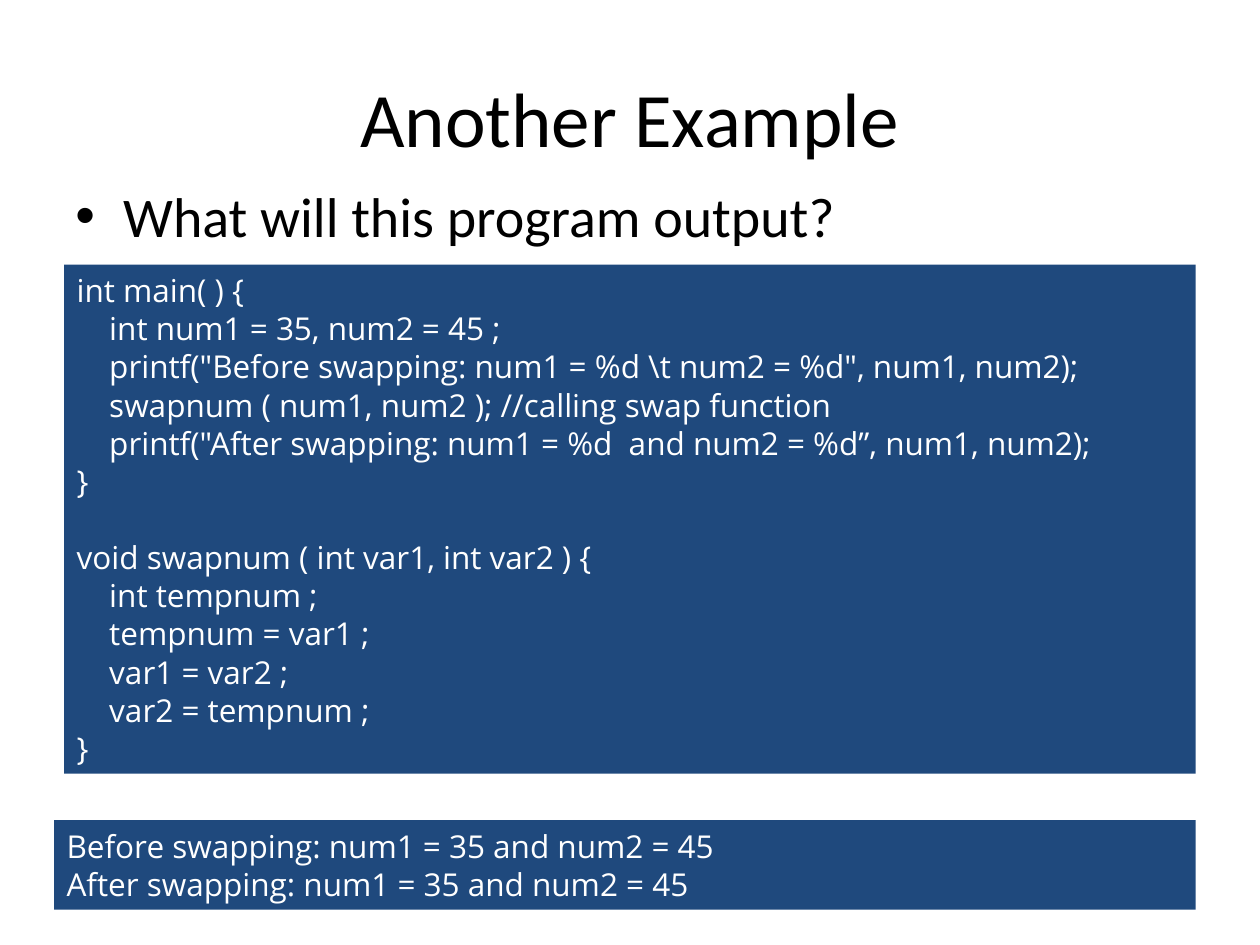
from pptx import Presentation
from pptx.dml.color import RGBColor
from pptx.enum.shapes import MSO_SHAPE as Shape
from pptx.enum.text import MSO_ANCHOR as Anchor, PP_ALIGN as Align
from pptx.oxml.ns import qn
from pptx.util import Inches, Pt

CODE = r'''int main( ) {
    int num1 = 35, num2 = 45 ;
    printf("Before swapping: num1 = %d \t num2 = %d", num1, num2);
    swapnum ( num1, num2 ); //calling swap function
    printf("After swapping: num1 = %d  and num2 = %d”, num1, num2);
}

void swapnum ( int var1, int var2 ) {
    int tempnum ;
    tempnum = var1 ;
    var1 = var2 ;
    var2 = tempnum ;
}'''
OUTPUT = '''Before swapping: num1 = 35 and num2 = 45
After swapping: num1 = 35 and num2 = 45'''


def color(value):
    return RGBColor.from_string(value)


class Deck:
    """Style and current slide; lengths are shares of the slide's size."""
    navy, white, black = "1F497D", "FFFFFF", "000000"
    heading = dict(name="Calibri", size=Pt(44))
    body = dict(name="Calibri", size=Pt(32))
    code = dict(name="Open Sans", size=Pt(18))
    code_line = Pt(21.8)

    def __init__(self, width, height):
        self.prs = Presentation()
        self.prs.slide_width, self.prs.slide_height = Inches(width), Inches(height)
        self.slide = self.prs.slides.add_slide(self.prs.slide_layouts[5])

    def box(self, x, y, w, h):
        width, height = self.prs.slide_width, self.prs.slide_height
        return int(x * width), int(y * height), int(w * width), int(h * height)

    def format(self, font, style, hex_color):
        for key, value in style.items():
            setattr(font, key, value)
        font.color.rgb = color(hex_color)

    def title(self, text, *area):
        s = self.slide.shapes.title
        s.left, s.top, s.width, s.height = self.box(*area)
        tf = s.text_frame
        tf.text, tf.vertical_anchor = text, Anchor.MIDDLE
        p = tf.paragraphs[0]
        p.alignment = Align.CENTER
        self.format(p.runs[0].font, self.heading, self.black)

    def bullet(self, text, *area):
        tf = self.slide.shapes.add_textbox(*self.box(*area)).text_frame
        tf.word_wrap = True
        p = tf.paragraphs[0]
        pPr = p._p.get_or_add_pPr()
        pPr.set("marL", str(Inches(0.38)))
        pPr.set("indent", str(-Inches(0.38)))
        for tag, key, value in (("a:buFont", "typeface", "Arial"), ("a:buChar", "char", "•")):
            pPr.append(pPr.makeelement(qn(tag), {key: value}))
        r = p.add_run()
        r.text = text
        self.format(r.font, self.body, self.black)

    def panel(self, text, *area):
        s = self.slide.shapes.add_shape(Shape.RECTANGLE, *self.box(*area))
        s.shadow.inherit = False
        s.fill.solid()
        s.fill.fore_color.rgb = color(self.navy)
        s.line.fill.background()
        tf = s.text_frame
        tf.word_wrap, tf.vertical_anchor = True, Anchor.TOP
        # A blank line between blocks becomes space before the next block
        blocks = [block.split("\n") for block in text.split("\n\n")]
        lines = [(line, b > 0 and i == 0)
                 for b, block in enumerate(blocks) for i, line in enumerate(block)]
        for n, (line, starts_block) in enumerate(lines):
            p = tf.add_paragraph() if n else tf.paragraphs[0]
            p.alignment, p.line_spacing = Align.LEFT, self.code_line
            if starts_block:
                p.space_before = self.code_line
            r = p.add_run()
            r.text = line
            self.format(r.font, self.code, self.white)


def main():
    deck = Deck(10, 7.5)
    # Heading and question
    deck.title("Another Example", 0.05, 0.04, 0.9, 1 / 6)
    deck.bullet("What will this program output?", 0.05, 1.39 / 7.5, 0.9, 0.66)
    # Program and its output
    deck.panel(CODE, 0.051, 0.28, 0.898, 4.04 / 7.5)
    deck.panel(OUTPUT, 0.043, 6.51 / 7.5, 0.906, 0.71 / 7.5)
    deck.prs.save("out.pptx")


if __name__ == "__main__":
    main()
